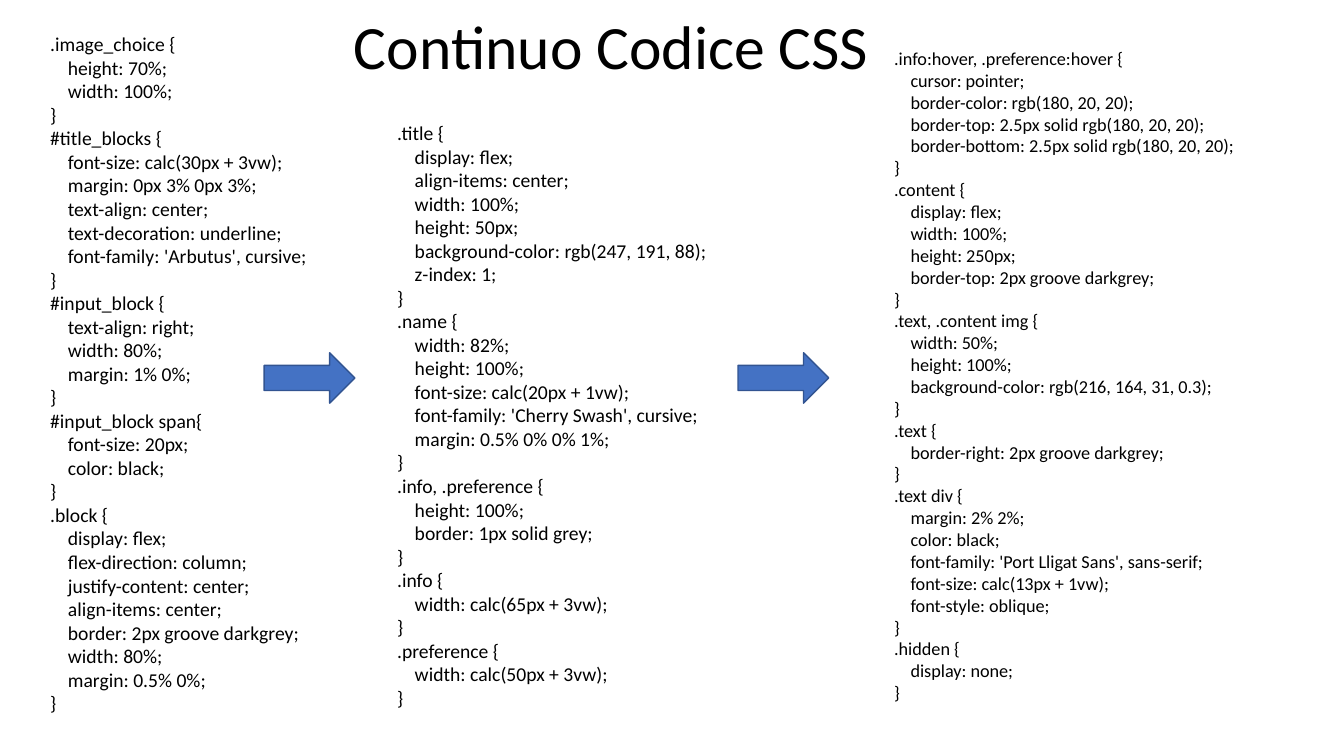
from pptx import Presentation
from pptx.dml.color import RGBColor as Rgb
from pptx.enum.shapes import MSO_SHAPE as Kind
from pptx.enum.text import MSO_ANCHOR as Anchor, MSO_AUTO_SIZE as Fit, PP_ALIGN as Align
from pptx.util import Inches, Pt

HUES = {"ink": "000000", "blue": "4472C4", "edge": "325491"}

LEFT = """
.image_choice {
    height: 70%;
    width: 100%;
}
#title_blocks {
    font-size: calc(30px + 3vw);
    margin: 0px 3% 0px 3%;
    text-align: center;
    text-decoration: underline;
    font-family: 'Arbutus', cursive;
}
#input_block {
    text-align: right;
    width: 80%;
    margin: 1% 0%;
}
#input_block span{
    font-size: 20px;
    color: black;
}
.block {
    display: flex;
    flex-direction: column;
    justify-content: center;
    align-items: center;
    border: 2px groove darkgrey;
    width: 80%;
    margin: 0.5% 0%;
}
"""

MIDDLE = """
.title {
    display: flex;
    align-items: center;
    width: 100%;
    height: 50px;
    background-color: rgb(247, 191, 88);
    z-index: 1;
}
.name {
    width: 82%;
    height: 100%;
    font-size: calc(20px + 1vw);
    font-family: 'Cherry Swash', cursive;
    margin: 0.5% 0% 0% 1%;
}
.info, .preference {
    height: 100%;
    border: 1px solid grey;
}
.info {
    width: calc(65px + 3vw);
}
.preference {
    width: calc(50px + 3vw);
}
"""

RIGHT = """
.info:hover, .preference:hover {
    cursor: pointer;
    border-color: rgb(180, 20, 20);
    border-top: 2.5px solid rgb(180, 20, 20);
    border-bottom: 2.5px solid rgb(180, 20, 20);
}
.content {
    display: flex;
    width: 100%;
    height: 250px;
    border-top: 2px groove darkgrey;
}
.text, .content img {
    width: 50%;
    height: 100%;
    background-color: rgb(216, 164, 31, 0.3);
}
.text {
    border-right: 2px groove darkgrey;
}
.text div {
    margin: 2% 2%;
    color: black;
    font-family: 'Port Lligat Sans', sans-serif;
    font-size: calc(13px + 1vw);
    font-style: oblique;
}
.hidden {
    display: none;
}
"""


def write(frame, text, size, font="Calibri", hue="ink", align=Align.LEFT, space=1.0):
    for spot, line in enumerate(text.strip().splitlines()):
        para = frame.add_paragraph() if spot else frame.paragraphs[0]
        para.alignment = align
        para.line_spacing = space
        if line.startswith(" "):
            props = para._p.get_or_add_pPr()
            props.set("marL", str(Pt(size * 0.9)))
            props.set("indent", "0")
        run = para.add_run()
        run.text = line.strip()
        run.font.size = Pt(size)
        run.font.name = font
        run.font.color.rgb = Rgb.from_string(HUES[hue])


class Deck:
    def __init__(self):
        self.file = Presentation()
        self.file.slide_width = Inches(13.33)
        self.file.slide_height = Inches(7.5)
        self.slide = self.file.slides.add_slide(self.file.slide_layouts[5])

    def title(self, text, left, top, width, height):
        head = self.slide.shapes.title
        head.left, head.top = Inches(left), Inches(top)
        head.width, head.height = Inches(width), Inches(height)
        frame = head.text_frame
        frame.auto_size = Fit.NONE
        frame.vertical_anchor = Anchor.MIDDLE
        write(frame, text, 44, align=Align.CENTER, space=0.9)

    def code(self, text, left, top, width, height, size=14):
        box = self.slide.shapes.add_textbox(
            Inches(left), Inches(top), Inches(width), Inches(height))
        frame = box.text_frame
        frame.word_wrap = True
        frame.auto_size = Fit.SHAPE_TO_FIT_TEXT
        write(frame, text, size)

    def arrow(self, left, top, width, height):
        shape = self.slide.shapes.add_shape(
            Kind.RIGHT_ARROW, Inches(left), Inches(top), Inches(width), Inches(height))
        shape.shadow.inherit = False
        shape.fill.solid()
        shape.fill.fore_color.rgb = Rgb.from_string(HUES["blue"])
        shape.line.color.rgb = Rgb.from_string(HUES["edge"])
        shape.line.width = Pt(1)


def main():
    deck = Deck()
    deck.title("Continuo Codice CSS", 3.07, 0, 5.99, 0.98)
    deck.code(LEFT, 0.4, 0.27, 3.37, 6.93)
    deck.code(MIDDLE, 3.84, 1.15, 3.6, 5.99)
    for left in (2.62, 7.32):
        deck.arrow(left, 3.5, 0.9, 0.5)
    deck.code(RIGHT, 8.77, 0.42, 3.86, 6.88, size=13)
    deck.file.save("out.pptx")


if __name__ == "__main__":
    main()
